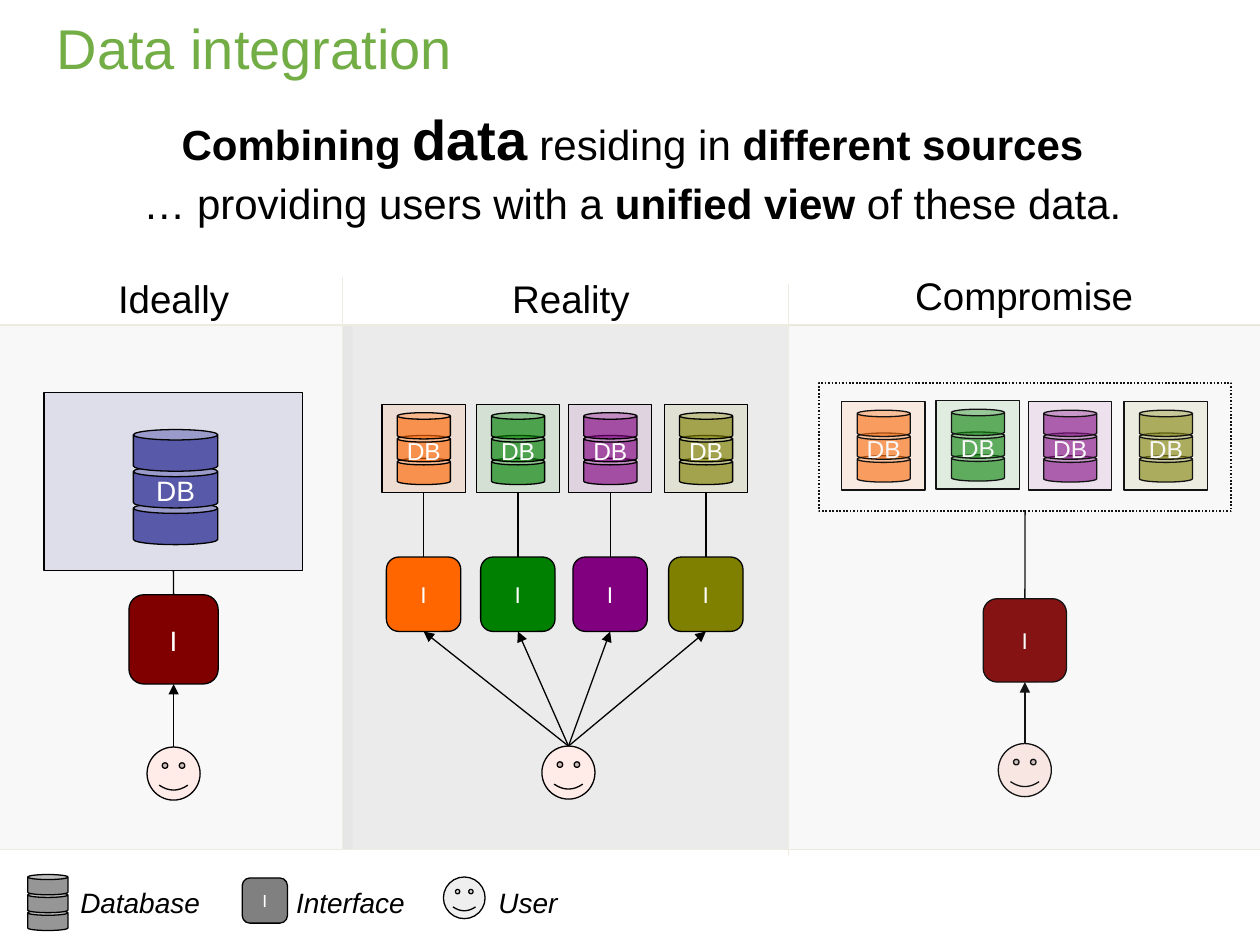
"""Build a slide comparing ideal, real and compromise data integration."""
import pptx
import pptx.dml.color
import pptx.enum.dml
import pptx.enum.shapes
import pptx.enum.text
import pptx.oxml
import pptx.oxml.ns
import pptx.util

Cm, Pt, RGBColor = pptx.util.Cm, pptx.util.Pt, pptx.dml.color.RGBColor
SHAPE = pptx.enum.shapes.MSO_SHAPE
ALIGN = pptx.enum.text.PP_ALIGN
ANCHOR = pptx.enum.text.MSO_ANCHOR
NAMESPACE = pptx.oxml.ns.nsdecls("a")

BLACK = RGBColor(0x00, 0x00, 0x00)
WHITE = RGBColor(0xFF, 0xFF, 0xFF)
TITLE_GREEN = RGBColor(0x72, 0xAD, 0x46)
PANEL_GRAY = RGBColor(0xC0, 0xC0, 0xC0)
RULE_BEIGE = RGBColor(0xEE, 0xEC, 0xE1)
ORANGE = RGBColor(0xFF, 0x66, 0x00)
GREEN = RGBColor(0x00, 0x80, 0x00)
PURPLE = RGBColor(0x80, 0x00, 0x80)
OLIVE = RGBColor(0x80, 0x80, 0x00)
NAVY = RGBColor(0x00, 0x00, 0x80)
INDIGO = RGBColor(0x58, 0x59, 0xA8)
MAROON = RGBColor(0x80, 0x00, 0x00)
SKIN = RGBColor(0xFF, 0xEB, 0xE8)
DATABASE_GRAY = RGBColor(0x96, 0x96, 0x96)
INTERFACE_GRAY = RGBColor(0x80, 0x80, 0x80)

TITLE = "Data integration"
STATEMENT = [
    [("Combining ", {"bold": True}), ("data", {"bold": True, "size": 32}),
     (" residing in ", {}), ("different sources", {"bold": True})],
    [("… providing users with a ", {}), ("unified view", {"bold": True}),
     (" of these data.", {})],
]
HEADINGS = [("Ideally", 0.3, 5.38, 6.4), ("Reality", 8.31, 5.38, 6.4),
            ("Compromise", 16.1, 5.33, 9.09)]
LEGEND = [("Database", 1.37, 2.92), ("Interface", 5.72, 2.74), ("User", 9.8, 1.7)]
SOURCES = [(ORANGE, 7.7, 8.1), (GREEN, 9.6, 8.08),
           (PURPLE, 11.46, 8.1), (OLIVE, 13.39, 8.1)]

PANEL_TOP, PANEL_HEIGHT = 6.55, 10.58
SOURCE_WIDTH, SOURCE_HEIGHT = 1.68, 1.78
REALITY_TOP, COMPROMISE_SHIFT = 8.15, 9.27
USER_SIZE = 1.07


def write(text_frame, paragraphs, *, size, color=BLACK, bold=False, italic=False,
          align=ALIGN.LEFT, spacing=1.04, before=0, wrap=True, anchor=ANCHOR.TOP):
    text_frame.word_wrap = wrap
    text_frame.vertical_anchor = anchor
    for index, runs in enumerate(paragraphs):
        paragraph = text_frame.paragraphs[0] if index == 0 else text_frame.add_paragraph()
        paragraph.alignment = align
        paragraph.line_spacing = spacing
        paragraph.space_before = Pt(before if index else 0)
        for text, changes in runs:
            run = paragraph.add_run()
            run.text = text
            run.font.name = "Arial"
            run.font.size = Pt(changes.get("size", size))
            run.font.bold = changes.get("bold", bold)
            run.font.italic = italic
            run.font.color.rgb = color


def place(shape, left, top, width, height):
    shape.left, shape.top = Cm(left), Cm(top)
    shape.width, shape.height = Cm(width), Cm(height)


def add_box(kind, left, top, width, height, color, opacity=100, outline=0.75,
            label=None, size=13):
    shape = shapes.add_shape(kind, Cm(left), Cm(top), Cm(width), Cm(height))
    shape.shadow.inherit = False
    shape.fill.solid()
    shape.fill.fore_color.rgb = color
    if opacity < 100:
        alpha = pptx.oxml.parse_xml(f'<a:alpha {NAMESPACE} val="{opacity * 1000}"/>')
        shape.element.spPr.find(".//" + pptx.oxml.ns.qn("a:srgbClr")).append(alpha)
    if outline:
        shape.line.color.rgb = BLACK
        shape.line.width = Pt(outline)
    else:
        shape.line.fill.background()
    if label:
        write(shape.text_frame, [[(label, {})]], size=size, color=WHITE,
              align=ALIGN.CENTER, wrap=False, anchor=ANCHOR.MIDDLE)
    return shape


def add_line(start=(0, 0), end=(0, 0), color=BLACK, arrow=False):
    line = shapes.add_connector(pptx.enum.shapes.MSO_CONNECTOR.STRAIGHT,
                                *(Cm(value) for value in (*start, *end)))
    line.line.color.rgb = color
    line.line.width = Pt(0.75)
    if arrow:
        line.line._get_or_add_ln().append(
            pptx.oxml.parse_xml(f'<a:tailEnd {NAMESPACE} type="triangle"/>'))
    line.element.spPr.append(pptx.oxml.parse_xml(f"<a:effectLst {NAMESPACE}/>"))
    return line


def join(lower, upper, arrow=False):
    line = add_line(arrow=arrow)
    first, last = (lower, upper) if arrow else (upper, lower)
    line.begin_connect(first, 0 if arrow else 2)
    line.end_connect(last, 2 if arrow else 0)


def add_text(text, left, top, width, height, **text_format):
    box = shapes.add_textbox(Cm(left), Cm(top), Cm(width), Cm(height))
    write(box.text_frame, [[(text, {})]], **text_format)


def add_heading(text, left, top, width):
    add_text(text, left, top, width, 1.24, size=22, align=ALIGN.CENTER)


def add_panel(left, width, opacity):
    add_box(SHAPE.RECTANGLE, left, PANEL_TOP, width, PANEL_HEIGHT, PANEL_GRAY,
            opacity, outline=0)


def add_database(left, top, width, height, pitch, color, opacity=100, label=None, size=14):
    for level in (2, 1, 0):
        add_box(SHAPE.CAN, left, top + level * pitch, width, height, color, opacity,
                label=label if level == 1 else None, size=size)


def add_source(left, top, color):
    box = add_box(SHAPE.RECTANGLE, left, top, SOURCE_WIDTH, SOURCE_HEIGHT, color, 10)
    add_database(left + 0.31, top + 0.17, 1.07, 0.53, 0.46, color, 63, "DB")
    return box


def add_interface(center, top, side, color, size=13):
    return add_box(SHAPE.ROUNDED_RECTANGLE, center - side / 2, top, side, side, color,
                   label="I", size=size)


def add_user(center, top):
    return add_box(SHAPE.SMILEY_FACE, center - USER_SIZE / 2, top,
                   USER_SIZE, USER_SIZE, SKIN)


presentation = pptx.Presentation()
presentation.slide_width, presentation.slide_height = Cm(25.4), Cm(19.05)
slide = presentation.slides.add_slide(presentation.slide_layouts[1])
shapes = slide.shapes
title, body = slide.placeholders
place(title, 0.89, 0.13, 24.1, 1.63)
write(title.text_frame, [[(TITLE, {})]], size=32, color=TITLE_GREEN,
      spacing=1.0, anchor=ANCHOR.MIDDLE)
place(body, 0.99, 2.13, 23.52, 3.73)
write(body.text_frame, STATEMENT, size=24, align=ALIGN.CENTER, spacing=0.9, before=6)
for paragraph in body.text_frame.paragraphs:
    properties = paragraph._p.get_or_add_pPr()
    properties.set("marL", "0")
    properties.set("indent", "0")
    properties.append(pptx.oxml.parse_xml(f"<a:buNone {NAMESPACE}/>"))

add_panel(6.91, 8.99, 30)
add_panel(0, 7.11, 10)
add_line((6.91, 5.59), (6.91, 17.12), RULE_BEIGE)
for rule_top in (PANEL_TOP, PANEL_TOP + PANEL_HEIGHT):
    add_line((0, rule_top), (25.4, rule_top), RULE_BEIGE)

ideal_box = add_box(SHAPE.RECTANGLE, 0.89, 7.92, 5.21, 3.58, NAVY, 10)
add_database(2.69, 8.66, 1.7, 0.84, 0.74, INDIGO, label="DB", size=16)
ideal_interface = add_interface(3.5, 11.99, 1.8, MAROON, 16)
join(ideal_interface, ideal_box)
join(add_user(3.5, 15.06), ideal_interface, arrow=True)

reality_user = add_user(11.46, 15.04)
for color, left, _ in SOURCES:
    source = add_source(left, REALITY_TOP, color)
    interface = add_interface(left + SOURCE_WIDTH / 2, 11.23, 1.5, color)
    join(interface, source)
    join(reality_user, interface, arrow=True)

compromise_box = add_box(SHAPE.RECTANGLE, 16.51, 7.72, 8.31, 2.59, WHITE, outline=1)
compromise_box.line.dash_style = pptx.enum.dml.MSO_LINE.ROUND_DOT
for color, left, top in SOURCES:
    add_source(left + COMPROMISE_SHIFT, top, color)
compromise_interface = add_interface(20.66, 12.07, 1.68, MAROON)
join(compromise_interface, compromise_box)
join(add_user(20.66, 14.99), compromise_interface, arrow=True)

add_panel(15.9, 9.5, 10)
add_line((15.9, 5.72), (15.9, 17.25), RULE_BEIGE)
for heading in HEADINGS:
    add_heading(*heading)

add_database(0.56, 17.63, 0.81, 0.41, 0.36, DATABASE_GRAY)
add_interface(5.34, 17.7, 0.91, INTERFACE_GRAY, 10)
add_box(SHAPE.SMILEY_FACE, 8.94, 17.68, 0.84, 0.84, PANEL_GRAY, 24)
for name, left, width in LEGEND:
    add_text(name, left, 17.7, width, 0.97, size=16, italic=True, wrap=False)

presentation.save("out.pptx")
